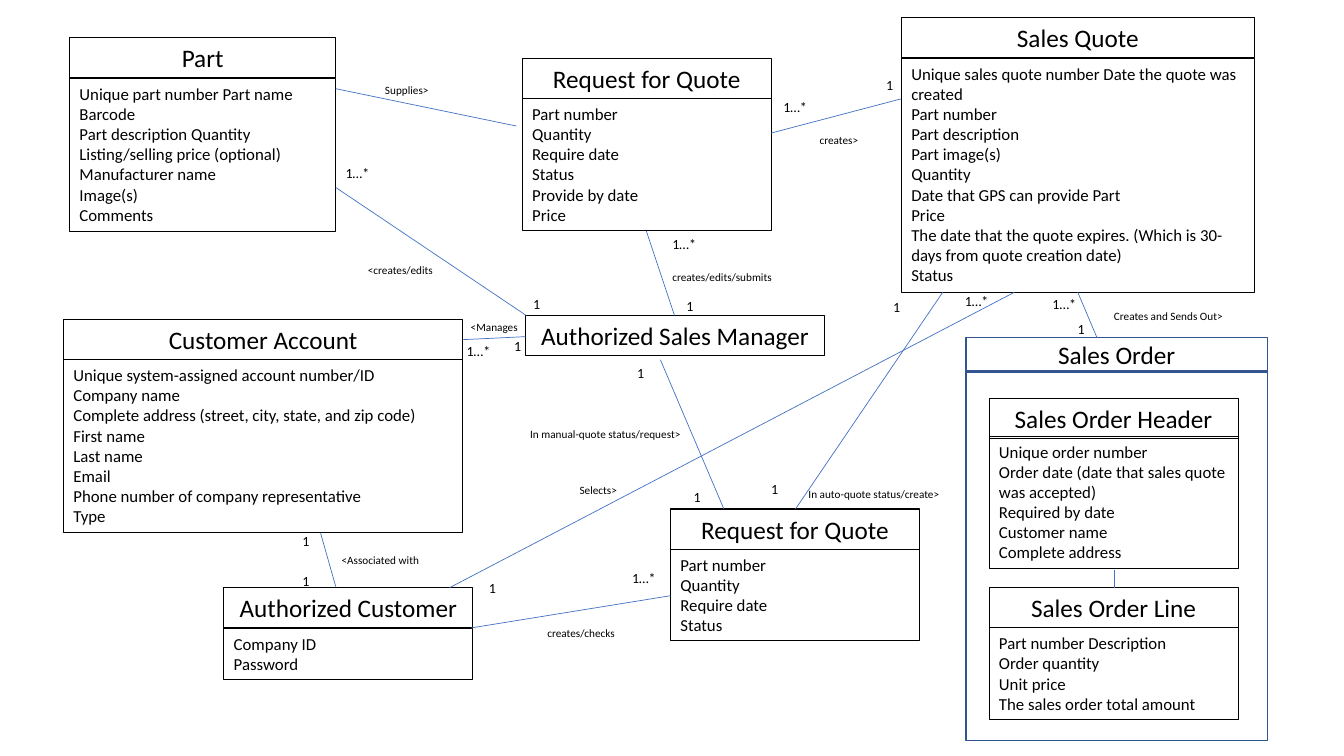
import pptx
import pptx.dml.color
import pptx.enum.shapes
import pptx.enum.text
import pptx.oxml.ns
import pptx.util
from lxml import etree
from pptx.util import Inches

FONT = "Calibri"
BLACK, LINK_BLUE, FRAME_BLUE = "000000", "4472C4", "325491"
TITLE_HEIGHT = 0.4
LINE_HEIGHT = 0.202

QUOTE_FIELDS = ["Part number", "Quantity", "Require date", "Status"]

# name, left, top, width, title step, rendered lines, fields
CLASSES = [
    ("Part", 0.69, 0.37, 2.64, 0.41, 7, [
        "Unique part number Part name", "Barcode", "Part description Quantity",
        "Listing/selling price (optional) Manufacturer name", "Image(s)", "Comments"]),
    ("Request for Quote", 5.18, 0.58, 2.47, 0.4, 6,
        QUOTE_FIELDS + ["Provide by date", "Price"]),
    ("Sales Quote", 8.94, 0.17, 3.5, 0.41, 11, [
        "Unique sales quote number Date the quote was created", "Part number",
        "Part description", "Part image(s)", "Quantity",
        "Date that GPS can provide Part", "Price",
        "The date that the quote expires. (Which is 30-days from quote creation date)",
        "Status"]),
    ("Customer Account", 0.63, 3.17, 3.96, 0.4, 8, [
        "Unique system-assigned account number/ID", "Company name",
        "Complete address (street, city, state, and zip code)", "First name",
        "Last name", "Email", "Phone number of company representative", "Type"]),
    ("Authorized Sales Manager", 5.21, 3.13, 2.97, 0.4, 0, []),
    ("Authorized Customer", 2.22, 5.83, 2.47, 0.41, 2, ["Company ID", "Password"]),
    ("Request for Quote", 6.65, 5.05, 2.47, 0.4, 4, QUOTE_FIELDS),
    ("Sales Order Header", 9.81, 3.95, 2.47, 0.38, 6, [
        "Unique order number", "Order date (date that sales quote was accepted)",
        "Required by date", "Customer name", "Complete address"]),
    ("Sales Order Line", 9.81, 5.83, 2.47, 0.4, 4, [
        "Part number Description", "Order quantity", "Unit price",
        "The sales order total amount"]),
]

LINKS = [
    (7.65, 1.32, 8.94, 0.98), (6.69, 3.13, 6.41, 2.29), (7.89, 5.05, 9.35, 2.9),
    (5.22, 3.13, 3.33, 1.86), (3.33, 5.82, 3.18, 5.29), (4.46, 5.83, 10.06, 2.9),
    (4.59, 3.37, 5.21, 3.34), (11.05, 5.83, 11.05, 5.65), (10.88, 3.35, 10.69, 2.9),
    (4.67, 6.23, 6.65, 5.91), (7.18, 5.05, 6.55, 3.57), (3.33, 0.88, 5.12, 1.25),
]

VERBS = [
    ("<Manages", 4.57, 3.13, 0.79), ("creates/edits/submits", 6.57, 2.63, 1.24),
    ("<creates/edits", 3.55, 2.56, 0.86), ("Selects>", 5.65, 4.75, 0.63),
    ("In auto-quote status/create>", 7.92, 4.79, 1.51),
    ("creates/checks", 5.33, 6.16, 0.89), ("<Associated with", 3.29, 5.44, 1),
    ("Creates and Sends Out>", 10.95, 3.02, 1.31), ("creates>", 8.03, 1.27, 0.59),
    ("In manual-quote status/request>", 5.16, 4.19, 1.73), ("Supplies>", 3.72, 0.78, 0.67),
]

MULTIPLICITIES = {
    "1": [(5, 3.3), (8.76, 2.91), (6.71, 2.9), (5.19, 2.88), (4.75, 5.7), (2.9, 5.63),
          (2.9, 5.23), (7.55, 4.72), (10.59, 3.13), (8.69, 0.71), (6.22, 3.57), (6.78, 4.8)],
    "1…*": [(9.47, 2.85), (3.33, 1.58), (4.53, 3.35), (6.57, 2.29), (6.17, 5.6),
            (10.34, 2.88), (7.67, 0.93)],
}


def color(value):
    """Turn a hex string into a colour."""
    return pptx.dml.color.RGBColor.from_string(value)


def write(frame, lines, size, centered=False):
    """Write one paragraph per line into a text frame."""
    frame.word_wrap = True
    for index, line in enumerate(lines):
        para = frame.paragraphs[0] if index == 0 else frame.add_paragraph()
        align = pptx.enum.text.PP_ALIGN
        para.alignment = align.CENTER if centered else align.LEFT
        span = para.add_run()
        span.text = line
        span.font.name = FONT
        span.font.size = pptx.util.Pt(size)
        span.font.color.rgb = color(BLACK)


def add_box(page, left, top, width, height, outline=BLACK, weight=0.75):
    """Add an outlined, unfilled rectangle."""
    box = page.shapes.add_shape(
        pptx.enum.shapes.MSO_SHAPE.RECTANGLE,
        Inches(left), Inches(top), Inches(width), Inches(height))
    box.shadow.inherit = False
    box.fill.background()
    box.line.color.rgb = color(outline)
    box.line.width = pptx.util.Pt(weight)
    box.text_frame.vertical_anchor = pptx.enum.text.MSO_ANCHOR.TOP
    return box


def add_class(page, name, left, top, width, step, line_count, fields):
    """Add a class with its title and, if it has fields, its body."""
    title = add_box(page, left, top, width, TITLE_HEIGHT)
    write(title.text_frame, [name], 18, centered=True)
    if fields:
        body = add_box(page, left, top + step, width, 0.1 + LINE_HEIGHT * line_count)
        write(body.text_frame, fields, 12)


def add_order_frame(page):
    """Add the frame that holds the order header and the order line."""
    add_box(page, 9.58, 3.68, 2.99, 3.67, FRAME_BLUE, 1)
    title = add_box(page, 9.58, 3.35, 2.99, 0.34, FRAME_BLUE, 1)
    write(title.text_frame, ["Sales Order"], 18, centered=True)
    title.text_frame.vertical_anchor = pptx.enum.text.MSO_ANCHOR.MIDDLE


def add_link(page, x1, y1, x2, y2):
    """Add a thin line between two classes."""
    link = page.shapes.add_connector(
        pptx.enum.shapes.MSO_CONNECTOR.STRAIGHT,
        Inches(x1), Inches(y1), Inches(x2), Inches(y2))
    link.line.color.rgb = color(LINK_BLUE)
    link.line.width = pptx.util.Pt(0.5)
    etree.SubElement(link._element.spPr, pptx.oxml.ns.qn("a:effectLst"))


def add_label(page, text, left, top, width, height, size):
    """Add a small label beside a link."""
    box = page.shapes.add_textbox(
        Inches(left), Inches(top), Inches(width), Inches(height))
    write(box.text_frame, [text], size)


def main():
    """Build the class diagram and save it."""
    deck = pptx.Presentation()
    deck.slide_width, deck.slide_height = Inches(13.33), Inches(7.5)
    page = deck.slides.add_slide(deck.slide_layouts[6])
    for entry in CLASSES:
        add_class(page, *entry)
    add_order_frame(page)
    for ends in LINKS:
        add_link(page, *ends)
    for text, left, top, width in VERBS:
        add_label(page, text, left, top, width, 0.24, 8)
    for text, places in MULTIPLICITIES.items():
        for left, top in places:
            add_label(page, text, left, top, 0.45, 0.27, 10)
    deck.save("out.pptx")


main()
